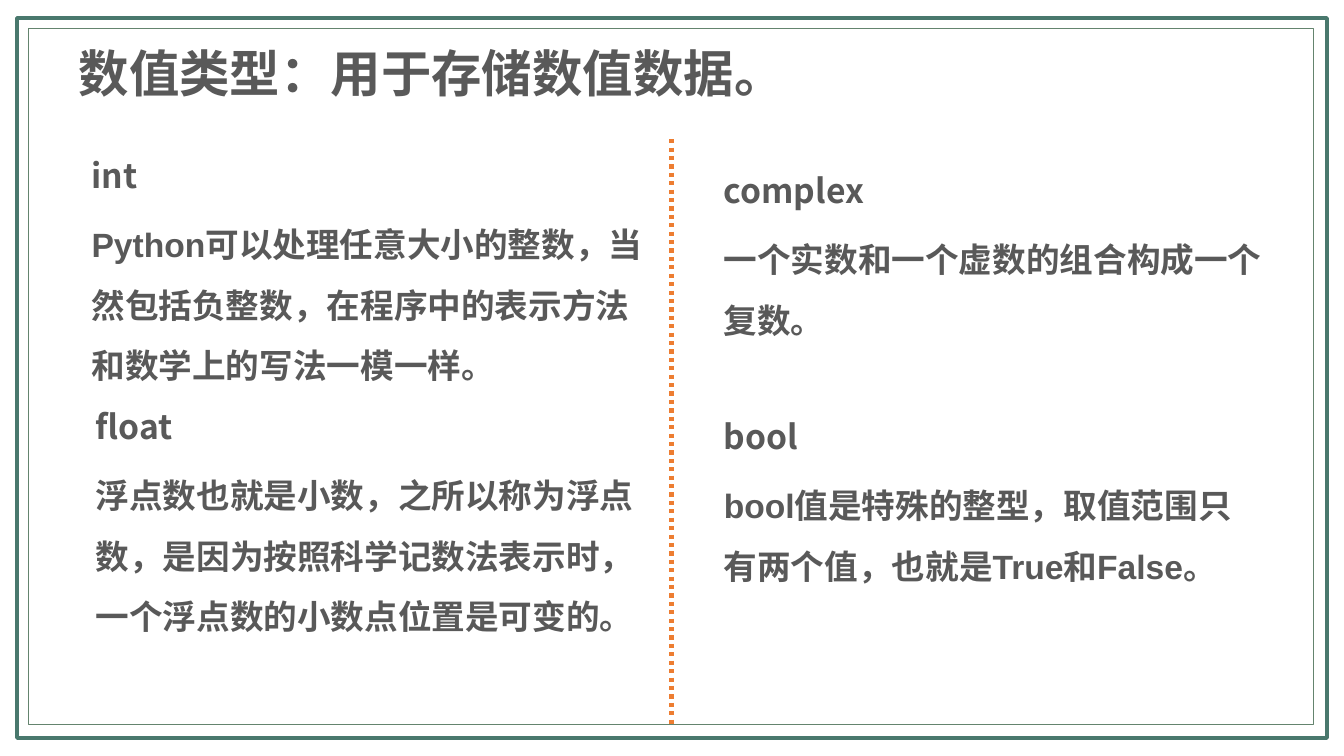
from lxml import etree
from pptx import Presentation
from pptx.dml.color import RGBColor
from pptx.enum.dml import MSO_LINE
from pptx.enum.shapes import MSO_CONNECTOR, MSO_SHAPE
from pptx.enum.text import MSO_ANCHOR, MSO_AUTO_SIZE, PP_ALIGN
from pptx.oxml.ns import qn
from pptx.util import Inches, Pt

RECT = MSO_SHAPE.RECTANGLE
STRAIGHT = MSO_CONNECTOR.STRAIGHT
SYS_DOT = MSO_LINE.ROUND_DOT
TOP = MSO_ANCHOR.TOP
LEFT = PP_ALIGN.LEFT
NO_FIT = MSO_AUTO_SIZE.NONE

TEAL = RGBColor(0x49, 0x78, 0x6D)
GREEN = RGBColor(0x64, 0x84, 0x6E)
GREY = RGBColor(0x59, 0x59, 0x59)
ORANGE = RGBColor(0xED, 0x7D, 0x31)
CJK = "Noto Sans CJK SC"
LATIN = "Arial"


def set_font(p, size, name):
    p.font.size = Pt(size)
    p.font.bold = True
    p.font.color.rgb = GREY
    p.font.name = name
    props = p._p.get_or_add_pPr().find(qn("a:defRPr"))
    etree.SubElement(props, qn("a:ea")).set("typeface", CJK)


prs = Presentation()
prs.slide_width = Inches(13.33)
prs.slide_height = Inches(7.5)
s = prs.slides.add_slide(prs.slide_layouts[5])

frames = [
    (0.17, 0.18, 12.99, 7.14, TEAL, 3),
    (0.28, 0.28, 12.75, 6.91, GREEN, 0.5),
]
for x, y, w, h, color, weight in frames:
    sp = s.shapes.add_shape(RECT, Inches(x), Inches(y), Inches(w), Inches(h))
    sp.shadow.inherit = False
    sp.fill.background()
    sp.line.color.rgb = color
    sp.line.width = Pt(weight)

title = s.shapes.title
title.left, title.top = Inches(0.68), Inches(0.37)
title.width, title.height = Inches(10.77), Inches(1.92)
tf = title.text_frame
tf.text = "数值类型：用于存储数值数据。"
tf.vertical_anchor = TOP
tf.auto_size = NO_FIT
p = tf.paragraphs[0]
p.alignment = LEFT
set_font(p, 36, CJK)

types = [
    (0.81, 1.49, 5.72, 3.1, "int",
     "Python可以处理任意大小的整数，当然包括负整数，在程序中的表示方法和数学上的写法一模一样。"),
    (0.85, 3.98, 5.75, 2.41, "float",
     "浮点数也就是小数，之所以称为浮点数，是因为按照科学记数法表示时，一个浮点数的小数点位置是可变的。"),
    (7.08, 1.64, 5.64, 1.8, "complex",
     "一个实数和一个虚数的组合构成一个复数。"),
    (7.08, 4.08, 5.49, 1.8, "bool",
     "bool值是特殊的整型，取值范围只有两个值，也就是True和False。"),
]
for x, y, w, h, name, description in types:
    sp = s.shapes.add_textbox(Inches(x), Inches(y), Inches(w), Inches(h))
    tf = sp.text_frame
    tf.word_wrap = True
    p = tf.paragraphs[0]
    p.text = name
    p.space_before = Pt(12)
    set_font(p, 24, CJK)
    p = tf.add_paragraph()
    p.text = description
    p.space_before = Pt(6)
    p.line_spacing = 1.5
    set_font(p, 24, LATIN)

divider = s.shapes.add_connector(
    STRAIGHT, Inches(6.66), Inches(1.38), Inches(6.66), Inches(7.19))
divider.line.color.rgb = ORANGE
divider.line.width = Pt(3)
divider.line.dash_style = SYS_DOT
etree.SubElement(divider._element.spPr, qn("a:effectLst"))

prs.save("out.pptx")
